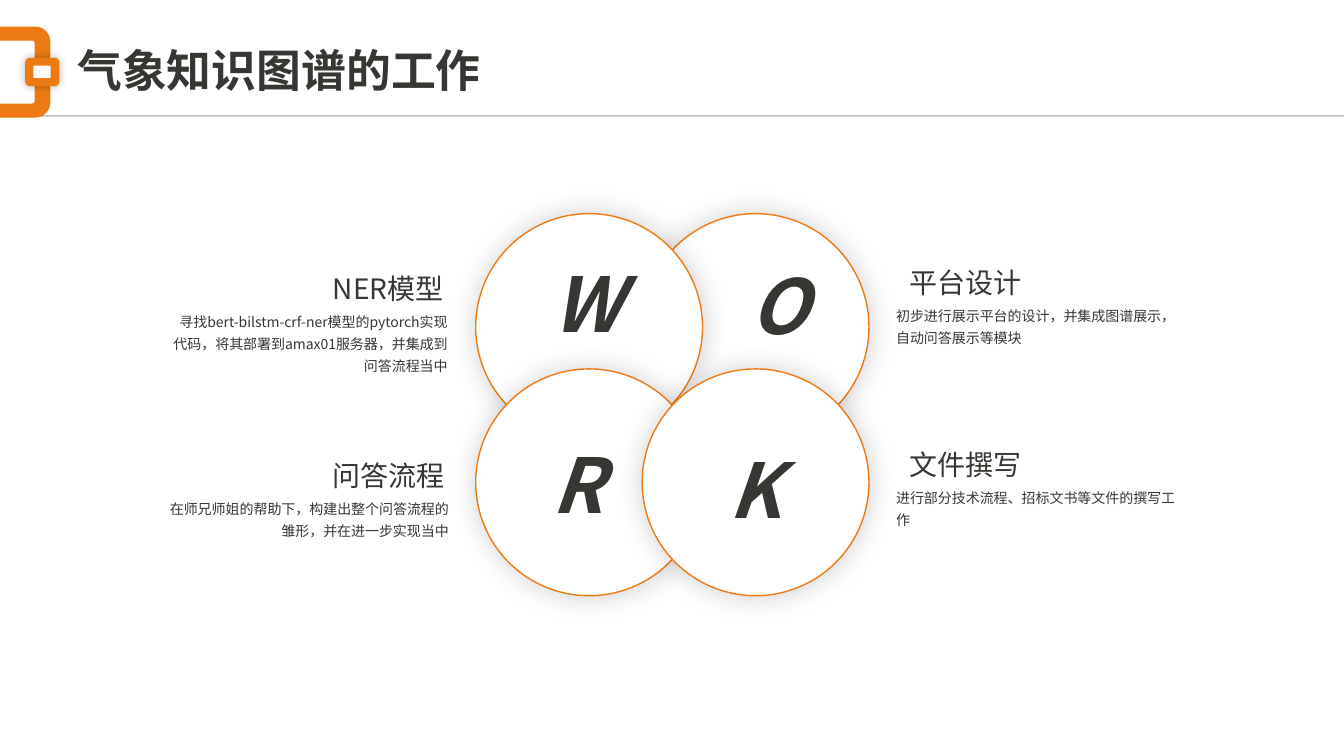
from math import cos, sin, radians
from lxml import etree
from pptx import Presentation
from pptx.dml.color import RGBColor
from pptx.enum.shapes import MSO_CONNECTOR, MSO_SHAPE
from pptx.enum.text import MSO_ANCHOR, PP_ALIGN
from pptx.oxml.ns import qn
from pptx.util import Pt

OVAL, ROUND = MSO_SHAPE.OVAL, MSO_SHAPE.ROUNDED_RECTANGLE
STRAIGHT = MSO_CONNECTOR.STRAIGHT
LEFT, CENTER, RIGHT = PP_ALIGN.LEFT, PP_ALIGN.CENTER, PP_ALIGN.RIGHT
TOP, MIDDLE = MSO_ANCHOR.TOP, MSO_ANCHOR.MIDDLE
ORANGE = RGBColor(0xEE, 0x7A, 0x13)
DARK = RGBColor(0x36, 0x36, 0x32)
WHITE = RGBColor(0xFF, 0xFF, 0xFF)
CJK = "Noto Sans CJK SC"

TITLE = "气象知识图谱的工作"
TITLE_FORMAT = dict(size=Pt(32), name="Arial", bold=True)
LETTER_FORMAT = dict(size=Pt(54), name=CJK, bold=True, italic=True)
HEAD_FORMAT = dict(size=Pt(20), name=CJK)
BODY_FORMAT = dict(size=Pt(10), name=CJK)

DIAMETER = 162
CIRCLES = [(458.7, 152.6), (339.8, 152.6), (339.8, 263.5), (458.7, 263.5)]
LETTERS = [("W", 386.6, 180), ("O", 528.5, 181.4),
           ("K", 513.4, 312.5), ("R", 386.6, 308.9)]
TASKS = [
    ("平台设计", "初步进行展示平台的设计，并集成图谱展示，自动问答展示等模块",
     607, 633, 185.8, CENTER, LEFT),
    ("问答流程", "在师兄师姐的帮助下，构建出整个问答流程的雏形，并在进一步实现当中",
     159.1, 113.8, 324, RIGHT, RIGHT),
    ("文件撰写", "进行部分技术流程、招标文书等文件的撰写工作",
     607, 633, 316.1, CENTER, LEFT),
    ("NER模型", "寻找bert-bilstm-crf-ner模型的pytorch实现代码，将其部署到amax01服务器，并集成到问答流程当中",
     158.4, 113, 190.1, RIGHT, RIGHT),
]
BODY_DROP = 26.6

prs = Presentation()
prs.slide_width, prs.slide_height = Pt(960), Pt(540)
s = prs.slides.add_slide(prs.slide_layouts[6])


def paint(sp, fill, line=None, shadow=None):
    sp.shadow.inherit = False
    sp.fill.solid()
    sp.fill.fore_color.rgb = fill
    if line is None:
        sp.line.fill.background()
    else:
        sp.line.color.rgb = line
        sp.line.width = Pt(1)
    if shadow:
        blur, alpha = shadow
        effects = sp._element.spPr.find(qn("a:effectLst"))
        outer = etree.SubElement(effects, qn("a:outerShdw"), blurRad=str(Pt(blur)),
                                 dist="0", dir="0", algn="ctr", rotWithShape="0")
        color = etree.SubElement(outer, qn("a:srgbClr"), val="000000")
        etree.SubElement(color, qn("a:alpha"), val=str(alpha * 1000))


def add_shape(kind, x, y, w, h, *style):
    sp = s.shapes.add_shape(kind, Pt(x), Pt(y), Pt(w), Pt(h))
    paint(sp, *style)
    return sp


def add_tab(right, top, bottom, radius, fill):
    points = [(0, top)]
    for start, cy in ((-90, top + radius), (0, bottom - radius)):
        for angle in range(start, start + 91, 10):
            points.append((right - radius + radius * cos(radians(angle)),
                           cy + radius * sin(radians(angle))))
    points.append((0, bottom))
    points = [(x * 100, y * 100) for x, y in points]
    builder = s.shapes.build_freeform(*points[0], scale=Pt(1) / 100)
    builder.add_line_segments(points[1:], close=True)
    paint(builder.convert_to_shape(), fill)


def add_text(text, x, y, w, h, fmt, align=LEFT, spacing=1.0, anchor=TOP):
    tf = s.shapes.add_textbox(Pt(x), Pt(y), Pt(w), Pt(h)).text_frame
    tf.word_wrap, tf.vertical_anchor = True, anchor
    p = tf.paragraphs[0]
    p.alignment, p.line_spacing = align, spacing
    r = p.add_run()
    r.text = text
    r.font.color.rgb = DARK
    for key, value in fmt.items():
        setattr(r.font, key, value)
    latin = r._r.rPr.find(qn("a:latin"))
    latin.addnext(latin.makeelement(qn("a:ea"), {"typeface": CJK}))


rule = s.shapes.add_connector(STRAIGHT, Pt(18), Pt(82.8), Pt(960), Pt(82.8))
rule.line.color.rgb = DARK
rule.line.width = Pt(1)
spPr = rule._element.spPr
etree.SubElement(spPr.find(".//" + qn("a:srgbClr")), qn("a:alpha"), val="31000")
etree.SubElement(spPr, qn("a:effectLst"))

add_tab(36, 19, 84, 10.8, ORANGE)
add_tab(24.8, 29, 74, 2.2, WHITE)
add_shape(ROUND, 18, 41.3, 24.5, 20.2, ORANGE, None, (6, 30))
add_shape(ROUND, 23.8, 46.9, 12.4, 8.7, WHITE).adjustments[0] = 0.1
add_text(TITLE, 48.2, 28.8, 856.8, 46, TITLE_FORMAT, spacing=0.9, anchor=MIDDLE)

for x, y in CIRCLES:
    add_shape(OVAL, x, y, DIAMETER, DIAMETER, WHITE, ORANGE, (20, 19))
for letter, x, y in LETTERS:
    add_text(letter, x, y, 45.4, 72.7, LETTER_FORMAT)
for head, body, head_x, body_x, y, head_align, body_align in TASKS:
    add_text(head, head_x, y, 165.6, 31.7, HEAD_FORMAT, head_align)
    add_text(body, body_x, y + BODY_DROP, 213.8, 37.4, BODY_FORMAT, body_align, 1.3)

prs.save("out.pptx")
